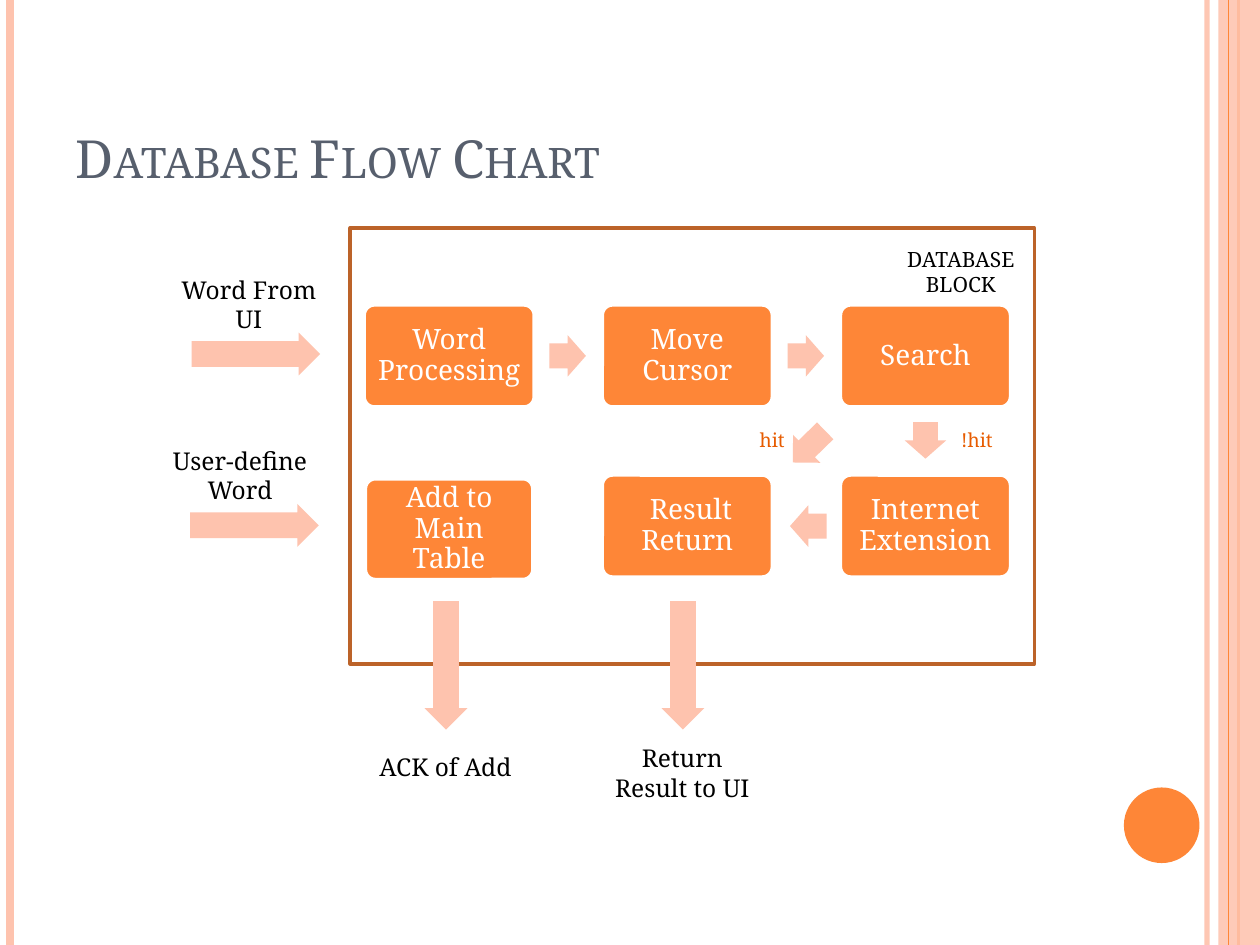
from pptx import Presentation
from pptx.dml.color import RGBColor as RGB
from pptx.enum.shapes import MSO_CONNECTOR as CONN, MSO_SHAPE as SHAPE
from pptx.enum.text import MSO_ANCHOR as ANCHOR, PP_ALIGN as ALIGN
from pptx.oxml.ns import qn
from pptx.util import Inches, Pt
from lxml.etree import SubElement

FONT = "Noto Serif"
ORANGE = RGB(0xFE, 0x86, 0x37)
PEACH = RGB(0xFE, 0xC3, 0xAE)
BROWN = RGB(0xBC, 0x63, 0x29)
RUST = RGB(0xE7, 0x5C, 0x01)
SLATE = RGB(0x57, 0x5F, 0x6D)
BLACK = RGB(0, 0, 0)
WHITE = RGB(255, 255, 255)

TITLE = "Database Flow Chart"
LEFT, TOP, STEP, DROP = 2.89, 2.42, 1.89, 1.35
STEPS = [
    ("Word Processing", 0, 0), ("Move Cursor", 1, 0), ("Search", 2, 0),
    ("Internet Extension", 2, 1), (" Result Return", 1, 1),
]
EXTRA = ("Add to Main Table", 2.9, 3.8, 1.33, 0.8)
SHORT, LONG, SLANT = (0.29, 0.33), (1.02, 0.34), (0.36, 0.31)
ARROWS = [
    (4.36, 2.66, SHORT, 0), (6.25, 2.66, SHORT, 0),
    (7.2, 3.33, SHORT, 90), (6.27, 4.01, SHORT, 180),
    (6.24, 3.39, SLANT, 135.7),
    (1.52, 2.64, LONG, 0), (1.51, 4, LONG, 0),
    (4.91, 5.11, LONG, 90), (3.03, 5.11, LONG, 90),
]
LABELS = [
    ("DATABASE BLOCK", 6.92, 1.91, 1.41, 0.5, 12, BLACK, ALIGN.CENTER),
    ("Word From UI", 1.33, 2.13, 1.29, 0.57, 14, BLACK, ALIGN.CENTER),
    ("User-define Word", 1.26, 3.49, 1.29, 0.57, 14, BLACK, ALIGN.CENTER),
    ("Return Result to UI", 4.77, 5.85, 1.29, 0.81, 14, BLACK, ALIGN.CENTER),
    ("ACK of Add", 2.89, 5.92, 1.29, 0.34, 14, BLACK, ALIGN.CENTER),
    ("!hit", 7.53, 3.35, 0.49, 0.29, 11, RUST, ALIGN.LEFT),
    ("hit", 5.93, 3.35, 0.49, 0.29, 11, RUST, ALIGN.LEFT),
]


def write(shape, text, size=16, color=WHITE, align=ALIGN.CENTER,
          anchor=ANCHOR.TOP, pad=None, space=None, caps=False):
    frame = shape.text_frame
    frame.word_wrap = True
    frame.vertical_anchor = anchor
    if pad is not None:
        frame.margin_left = frame.margin_right = Inches(pad)
        frame.margin_top = frame.margin_bottom = Inches(pad)
    para = frame.paragraphs[0]
    para.alignment = align
    para.line_spacing = space
    run = para.add_run()
    run.text = text
    run.font.name = FONT
    run.font.size = Pt(size)
    run.font.color.rgb = color
    if caps:
        run.font._element.set("cap", "small")


def fade(fill, alpha):
    color = fill._xPr.find(qn("a:solidFill"))[0]
    SubElement(color, qn("a:alpha"), val=str(alpha * 1000))


def draw(kind, x, y, w, h, fill=None, line=None, adjust=()):
    shape = slide.shapes.add_shape(kind, *map(Inches, (x, y, w, h)))
    shape.shadow.inherit = False
    if fill is None:
        shape.fill.background()
    else:
        shape.fill.solid()
        shape.fill.fore_color.rgb = fill
    if line is None:
        shape.line.fill.background()
    else:
        shape.line.color.rgb = line
        shape.line.width = Pt(2)
    for i, value in enumerate(adjust):
        shape.adjustments[i] = value
    return shape


def stripe(x, color, width):
    line = slide.shapes.add_connector(
        CONN.STRAIGHT, Inches(x), 0, Inches(x), deck.slide_height)
    line.line.color.rgb = color
    line.line.width = Pt(width)
    SubElement(line._element.spPr, qn("a:effectLst"))
    return line


def box(text, *place):
    shape = draw(SHAPE.ROUNDED_RECTANGLE, *place, ORANGE, WHITE, [0.1])
    write(shape, text, anchor=ANCHOR.MIDDLE, pad=0.07, space=0.9)


deck = Presentation()
deck.slide_width, deck.slide_height = Inches(10), Inches(7.5)
slide = deck.slides.add_slide(deck.slide_layouts[5])

fade(stripe(9.58, PEACH, 3).line.fill, 93)
stripe(0.08, PEACH, 4.5)
stripe(9.83, ORANGE, 1.5)
fade(draw(SHAPE.RECTANGLE, 9.67, 0, 0.33, 7.5, PEACH).fill, 87)
stripe(9.75, ORANGE, 0.75)
draw(SHAPE.OVAL, 8.92, 6.25, 0.6, 0.6, ORANGE)

title = slide.shapes.title
title.left, title.top, title.width, title.height = map(
    Inches, (0.5, 0.3, 8.17, 1.25))
write(title, TITLE, size=30, color=SLATE, align=ALIGN.LEFT,
      anchor=ANCHOR.BOTTOM, caps=True)

draw(SHAPE.RECTANGLE, 2.78, 1.81, 5.43, 3.46, line=BROWN)
for text, col, row in STEPS:
    box(text, LEFT + col * STEP, TOP + row * DROP, 1.35, 0.81)
box(*EXTRA)
for x, y, size, turn in ARROWS:
    arrow = draw(SHAPE.RIGHT_ARROW, x, y, *size, PEACH, adjust=[0.6, 0.5])
    arrow.rotation = turn
for text, x, y, w, h, size, color, align in LABELS:
    label = slide.shapes.add_textbox(*map(Inches, (x, y, w, h)))
    write(label, text, size=size, color=color, align=align)

deck.save("out.pptx")
